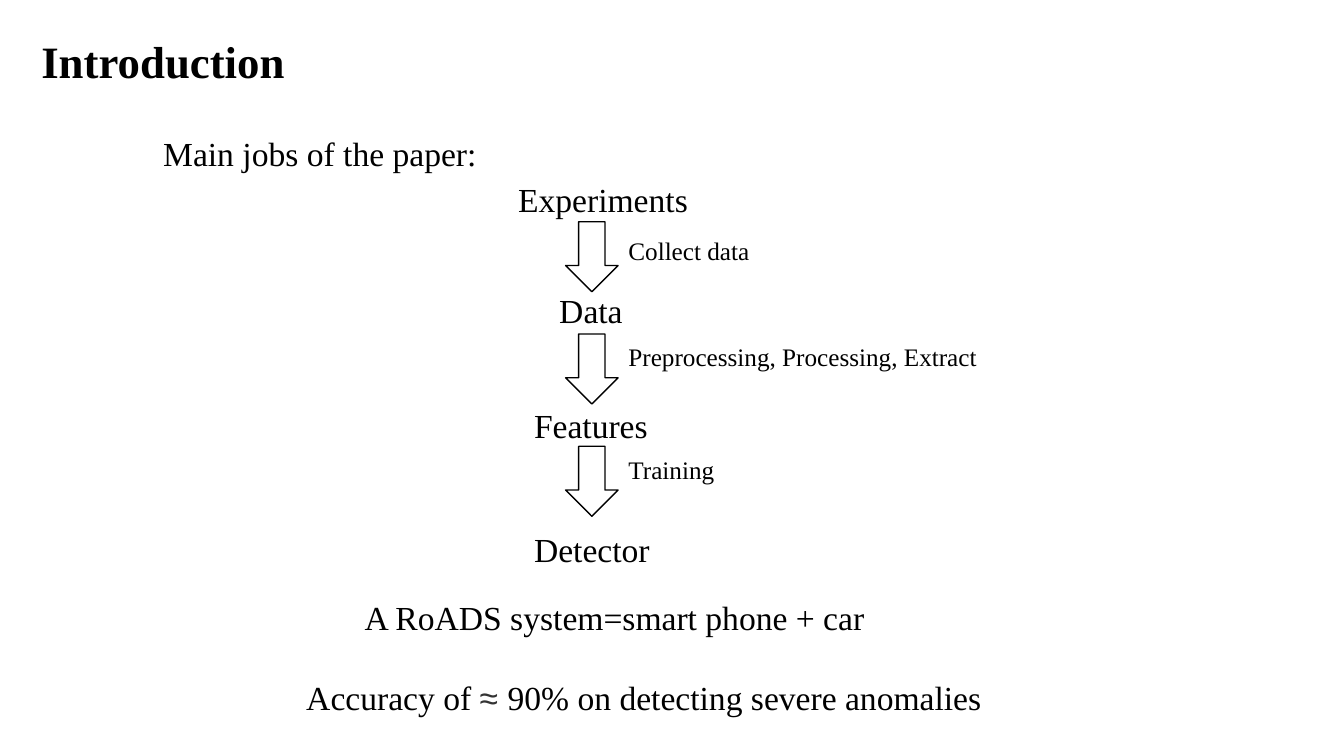
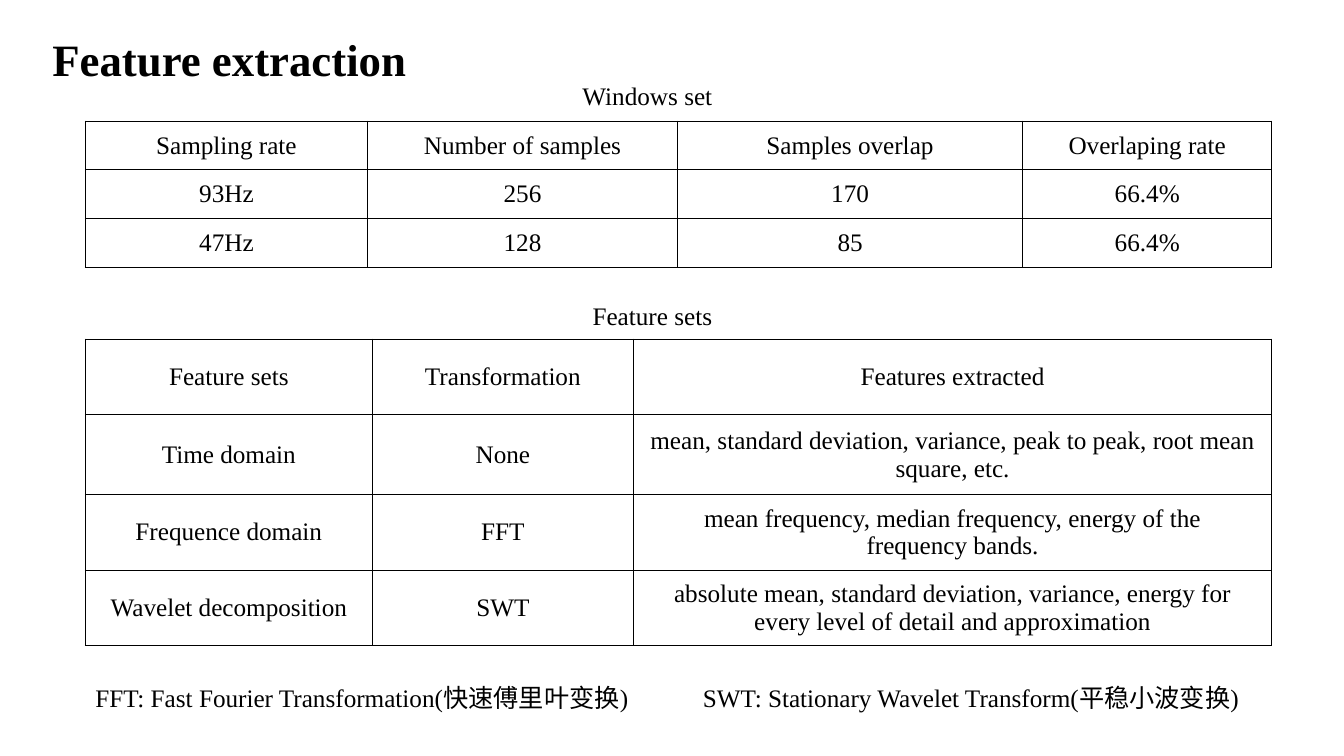
import pptx
import pptx.dml.color
import pptx.enum.shapes
import pptx.enum.text
import pptx.oxml
import pptx.oxml.ns
import pptx.util
from pptx.util import Pt

SERIF = "Times New Roman"
SYMBOL = "Arial"
BLACK = "000000"
WHITE = "FFFFFF"
GREY = "333333"
TITLE_SIZE, BODY_SIZE, SMALL_SIZE = 32, 24, 18
TABLE_LEFT = 61

WINDOW_ROWS = [
    ["Sampling rate", "Number of samples", "Samples overlap", "Overlaping rate"],
    ["93Hz", "256", "170", "66.4%"],
    ["47Hz", "128", "85", "66.4%"],
]
FEATURE_ROWS = [
    ["Feature sets", "Transformation", "Features extracted"],
    ["Time domain", "None",
     "mean, standard deviation, variance, peak to peak, root mean square, etc."],
    ["Frequence domain", "FFT",
     "mean frequency, median frequency, energy of the\nfrequency bands."],
    ["Wavelet decomposition", "SWT",
     "absolute mean, standard deviation, variance, energy for every level of "
     "detail and approximation"],
]


def color(value):
    return pptx.dml.color.RGBColor.from_string(value)


def add_run(paragraph, text, size, font=SERIF, fill=BLACK, bold=False):
    run = paragraph.add_run()
    run.text = text
    run.font.name = font
    run.font.size = Pt(size)
    run.font.bold = bold
    run.font.color.rgb = color(fill)


def add_title_slide(presentation, title, left, top, width):
    """Add a title-only slide and place its title."""
    slide = presentation.slides.add_slide(presentation.slide_layouts[5])
    shape = slide.shapes.title
    shape.left, shape.top, shape.width, shape.height = map(Pt, (left, top, width, 46))
    frame = shape.text_frame
    frame.word_wrap = False
    frame.auto_size = pptx.enum.text.MSO_AUTO_SIZE.NONE
    frame.vertical_anchor = pptx.enum.text.MSO_ANCHOR.TOP
    paragraph = frame.paragraphs[0]
    paragraph.alignment = pptx.enum.text.PP_ALIGN.LEFT
    add_run(paragraph, title, TITLE_SIZE, bold=True)
    return slide


def add_text(slide, text, left, top, width, size=BODY_SIZE, spacing=None, wrap=False):
    """Add a one-paragraph text box and return the paragraph."""
    height = size * 1.2 * (spacing or 1) + 7.2
    box = slide.shapes.add_textbox(*map(Pt, (left, top, width, height)))
    frame = box.text_frame
    frame.word_wrap = wrap
    frame.auto_size = pptx.enum.text.MSO_AUTO_SIZE.SHAPE_TO_FIT_TEXT
    paragraph = frame.paragraphs[0]
    if spacing:
        paragraph.line_spacing = spacing
    add_run(paragraph, text, size)
    return paragraph


def add_down_arrow(slide, left, top):
    arrow = slide.shapes.add_shape(
        pptx.enum.shapes.MSO_SHAPE.DOWN_ARROW, Pt(left), Pt(top), Pt(37.5), Pt(50))
    arrow.shadow.inherit = False
    arrow.fill.solid()
    arrow.fill.fore_color.rgb = color(WHITE)
    arrow.line.color.rgb = color(BLACK)
    arrow.line.width = Pt(1)


def add_cell_borders(cell):
    properties = cell._tc.get_or_add_tcPr()
    for position, side in enumerate(("lnL", "lnR", "lnT", "lnB")):
        border = pptx.oxml.parse_xml(
            f'<a:{side} {pptx.oxml.ns.nsdecls("a")} w="12700"><a:solidFill>'
            f'<a:srgbClr val="{BLACK}"/></a:solidFill></a:{side}>')
        properties.insert(position, border)


def add_grid(slide, rows, top, column_widths, row_heights):
    """Add an unfilled table with centred text and black borders."""
    frame = slide.shapes.add_table(
        len(rows), len(column_widths), Pt(TABLE_LEFT), Pt(top),
        Pt(sum(column_widths)), Pt(sum(row_heights)))
    table = frame.table
    table.first_row = table.horz_banding = False
    for column, width in zip(table.columns, column_widths):
        column.width = Pt(width)
    for row, height, texts in zip(table.rows, row_heights, rows):
        row.height = Pt(height)
        for cell, text in zip(row.cells, texts):
            cell.fill.background()
            cell.vertical_anchor = pptx.enum.text.MSO_ANCHOR.MIDDLE
            text_frame = cell.text_frame
            for index, line in enumerate(text.split("\n")):
                paragraph = text_frame.add_paragraph() if index else text_frame.paragraphs[0]
                paragraph.alignment = pptx.enum.text.PP_ALIGN.CENTER
                add_run(paragraph, line, SMALL_SIZE)
            add_cell_borders(cell)


def add_tab_stop(paragraph, position):
    properties = paragraph._p.get_or_add_pPr()
    properties.append(pptx.oxml.parse_xml(
        f'<a:tabLst {pptx.oxml.ns.nsdecls("a")}>'
        f'<a:tab pos="{Pt(position)}" algn="l"/></a:tabLst>'))


def build_introduction(presentation):
    slide = add_title_slide(presentation, "Introduction", 22.3, 20.2, 190)
    add_text(slide, "Main jobs of the paper:", 109.5, 77, 240.5, spacing=1.5)
    add_text(slide, "Experiments", 363, 110.2, 137, spacing=1.5)
    for text, left, top, width in [
        ("Data", 392.4, 203.8, 60.5),
        ("Features", 374.4, 285.8, 96.5),
        ("Detector", 374.4, 374.4, 98),
        ("A RoADS system=smart phone + car", 253.4, 422.6, 375),
    ]:
        add_text(slide, text, left, top, width)
    for index, (label, top, width) in enumerate([
        ("Collect data", 164.2, 102),
        ("Preprocessing, Processing, Extract", 240.5, 265.7),
        ("Training", 321.1, 76.3),
    ]):
        add_down_arrow(slide, 404, 158.4 + 80.2 * index)
        add_text(slide, label, 441.8, top, width, SMALL_SIZE)
    accuracy = add_text(slide, "Accuracy of ", 211.7, 480.2, 501)
    add_run(accuracy, "≈ ", BODY_SIZE, SYMBOL, GREY)
    add_run(accuracy, "90% on detecting severe anomalies", BODY_SIZE)


def build_feature_extraction(presentation):
    slide = add_title_slide(presentation, "Feature extraction", 30.2, 19.4, 270)
    add_text(slide, "Windows set", 409, 54, 108, SMALL_SIZE)
    add_grid(slide, WINDOW_ROWS, 86.5, [201.5, 221.5, 246.5, 178], [34.8] * 3)
    add_text(slide, "Feature sets", 416.2, 211, 100.8, SMALL_SIZE)
    add_grid(slide, FEATURE_ROWS, 242.3, [205, 186.5, 456], [54, 57, 54, 54])
    note = add_text(slide, "FFT: Fast Fourier Transformation(快速傅里叶变换)\t",
                    61, 484, 831, SMALL_SIZE, wrap=True)
    add_run(note, "SWT: Stationary Wavelet Transform(平稳小波变换)", SMALL_SIZE)
    add_tab_stop(note, 434)


def main():
    presentation = pptx.Presentation()
    presentation.slide_width = Pt(960)
    presentation.slide_height = Pt(540)
    build_introduction(presentation)
    build_feature_extraction(presentation)
    presentation.save("out.pptx")


if __name__ == "__main__":
    main()
